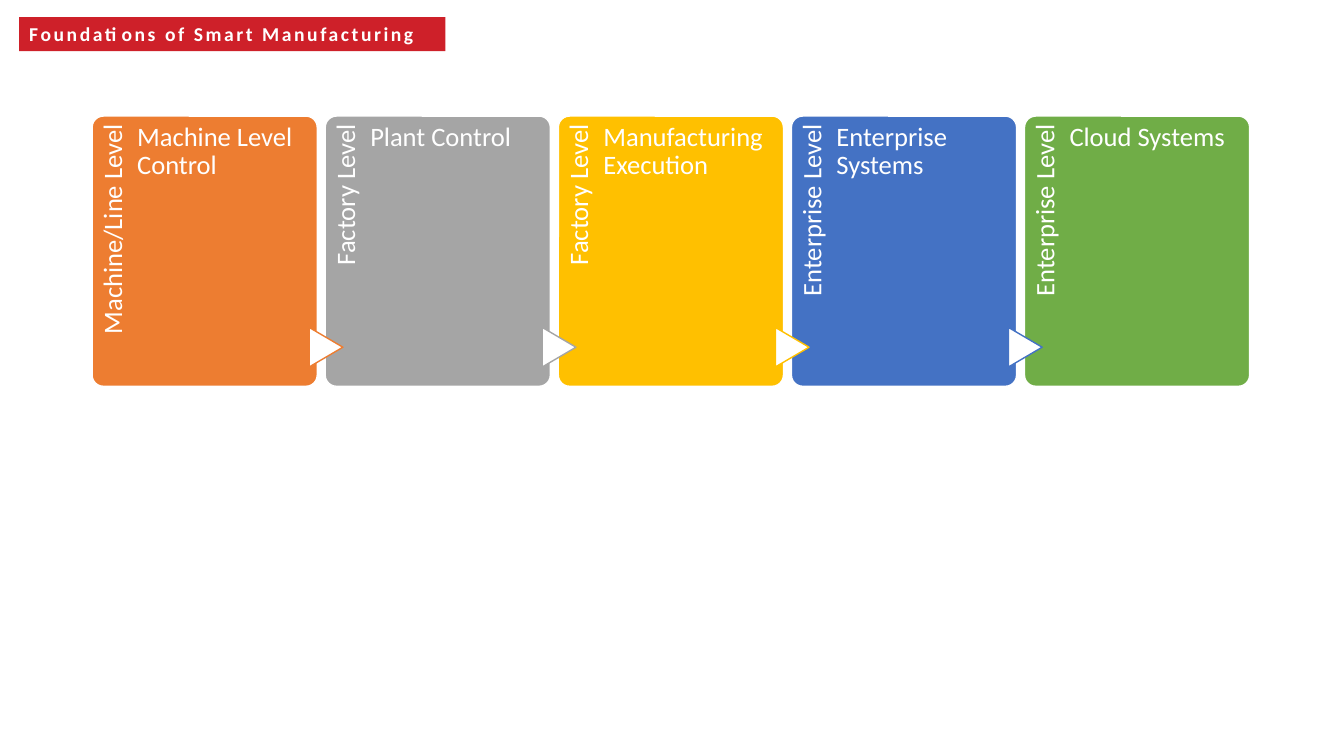
from pptx import Presentation
from pptx.dml.color import RGBColor
from pptx.enum.shapes import MSO_SHAPE
from pptx.enum.text import MSO_ANCHOR, PP_ALIGN
from pptx.util import Pt

COLORS = {
    "white": "FFFFFF",
    "red": "CE2029",
    "orange": "ED7D31",
    "gray": "A5A5A5",
    "gold": "FFC000",
    "blue": "4472C4",
    "green": "70AD47",
}
STAGES = [
    ("Machine/Line Level", "Machine Level Control", "orange"),
    ("Factory Level", "Plant Control", "gray"),
    ("Factory Level", "Manufacturing Execution", "gold"),
    ("Enterprise Level", "Enterprise Systems", "blue"),
    ("Enterprise Level", "Cloud Systems", "green"),
]
LEFT, TOP, PITCH = 65.8, 82.9, 166.5
CARD_W, CARD_H = 160.8, 193


def add_box(s, kind, x, y, w, h, fill, line):
    sp = s.shapes.add_shape(kind, Pt(x), Pt(y), Pt(w), Pt(h))
    sp.shadow.inherit = False
    sp.fill.solid()
    sp.fill.fore_color.rgb = RGBColor.from_string(COLORS[fill])
    sp.line.color.rgb = RGBColor.from_string(COLORS[line])
    sp.line.width = Pt(1)
    return sp


def set_text(sp, text, size, insets, align=PP_ALIGN.LEFT, anchor=MSO_ANCHOR.TOP):
    tf = sp.text_frame
    tf.text = text
    tf.word_wrap = True
    tf.vertical_anchor = anchor
    tf.margin_left, tf.margin_top, tf.margin_right, tf.margin_bottom = map(Pt, insets)
    p = tf.paragraphs[0]
    p.alignment = align
    p.line_spacing = 0.9
    r = p.runs[0]
    r.font.name = "Calibri"
    r.font.size = Pt(size)
    r.font.color.rgb = RGBColor.from_string(COLORS["white"])
    return r


prs = Presentation()
prs.slide_width, prs.slide_height = Pt(960), Pt(540)
s = prs.slides.add_slide(prs.slide_layouts[5])

title = s.shapes.title
title.left, title.top, title.width, title.height = Pt(13.7), Pt(12.2), Pt(304.5), Pt(24.3)
title.fill.solid()
title.fill.fore_color.rgb = RGBColor.from_string(COLORS["red"])
r = set_text(title, "Foundations of Smart Manufacturing", 14, (7.2, 3.6, 7.2, 3.6),
             anchor=MSO_ANCHOR.MIDDLE)
r.font.bold = True
r.font._element.set("spc", "180")
title.text_frame.paragraphs[0].line_spacing = 1.0

for i, (level, name, color) in enumerate(STAGES):
    x = LEFT + i * PITCH
    card = add_box(s, MSO_SHAPE.ROUNDED_RECTANGLE, x, TOP, CARD_W, CARD_H, color, "white")
    card.adjustments[0] = 0.05

    sp = s.shapes.add_textbox(Pt(x - 63.1), Pt(145.6), Pt(158.4), Pt(32.2))
    sp.rotation = 270
    set_text(sp, level, 19, (0, 5, 6.5, 0), PP_ALIGN.RIGHT)

    if i:
        arrow = add_box(s, MSO_SHAPE.FLOWCHART_EXTRACT, x - 13.6, 236, 28.3, 24.1,
                        "white", STAGES[i - 1][2])
        arrow.rotation = 90

    sp = s.shapes.add_textbox(Pt(x + 32.2), Pt(TOP), Pt(119.8), Pt(CARD_H))
    set_text(sp, name, 19, (0, 5, 0, 0))

prs.save("out.pptx")
